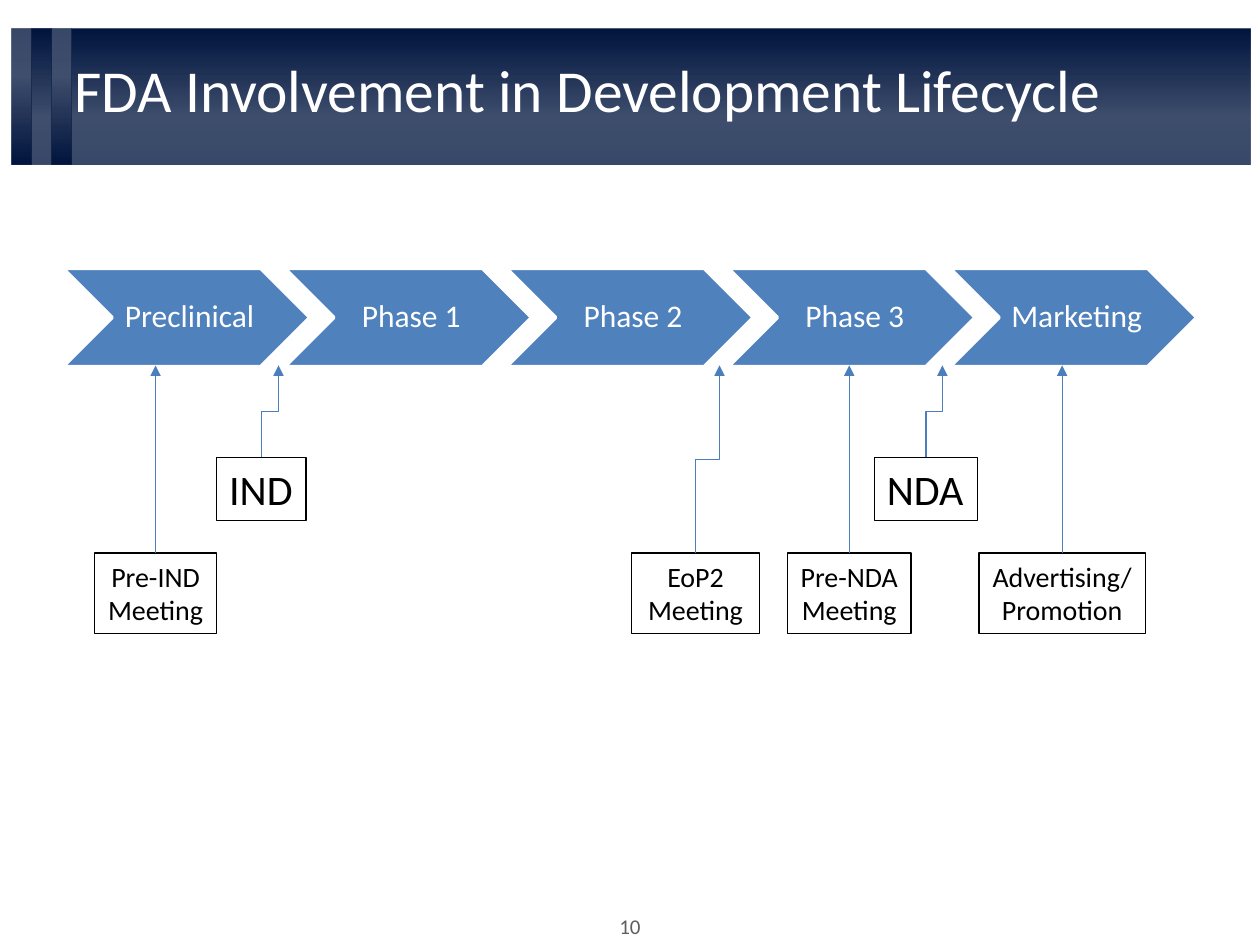
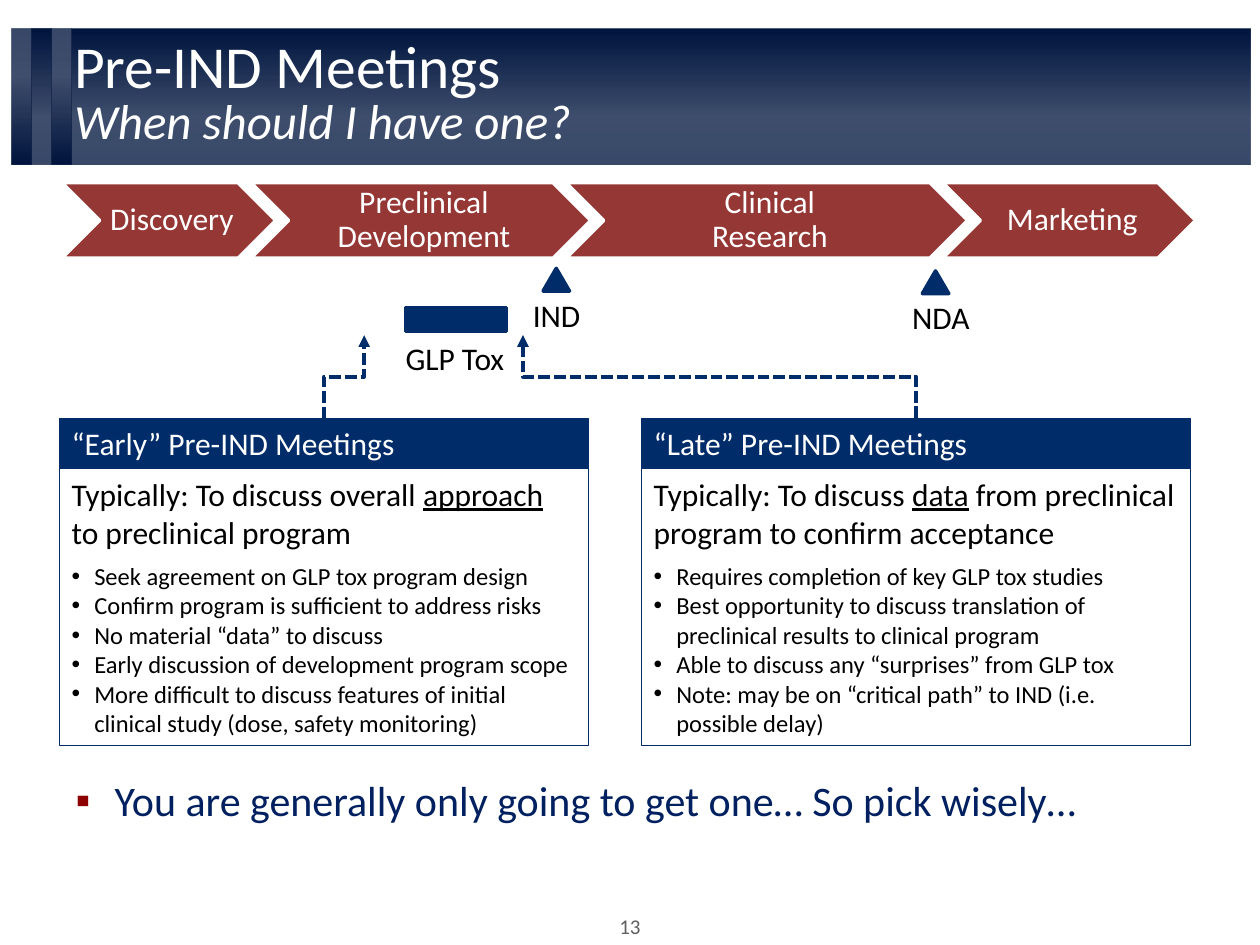
import lxml.etree
import pptx
import pptx.dml.color
import pptx.enum.dml
import pptx.enum.shapes
import pptx.enum.text
import pptx.oxml.ns
import pptx.util

Inches = pptx.util.Inches
Pt = pptx.util.Pt
RGB = pptx.dml.color.RGBColor
SHAPE = pptx.enum.shapes.MSO_SHAPE
CONNECTOR = pptx.enum.shapes.MSO_CONNECTOR
ANCHOR = pptx.enum.text.MSO_ANCHOR
ALIGN = pptx.enum.text.PP_ALIGN
qn = pptx.oxml.ns.qn

# Shared style
FONT = "Calibri"
WHITE = RGB(0xFF, 0xFF, 0xFF)
BLACK = RGB(0, 0, 0)
GREY = RGB(0x5F, 0x5F, 0x5F)
BAND = RGB(0x00, 0x15, 0x3E)
BLUE = RGB(0x4F, 0x81, 0xBD)
ARROW = RGB(0x4B, 0x7E, 0xBC)
RED = RGB(0x95, 0x37, 0x35)
NAVY = RGB(0x00, 0x2D, 0x6A)
BODY = RGB(0x00, 0x20, 0x60)
BULLET = RGB(0x8E, 0x00, 0x00)
BAND_STOPS = [(0, 100), (65, 75), (100, 78)]  # position %, opacity %


def xml(parent, tag, **attrs):
    return lxml.etree.SubElement(
        parent, qn(tag), {k: str(v) for k, v in attrs.items()})


def write(p, text, size=18, color=BLACK, italic=False, align=ALIGN.LEFT,
          spacing=None, before=0, bullet=None, bullet_color=None, indent=0):
    """Add text to a paragraph; _word_ is underlined, newline is a break."""
    p.alignment = align
    p.space_before = Pt(before)
    if spacing:
        p.line_spacing = spacing
    for i, line in enumerate(text.split("\n")):
        if i:
            p.add_line_break()
        for j, part in enumerate(line.split("_")):
            if not part:
                continue
            r = p.add_run()
            r.text = part
            r.font.name = FONT
            r.font.size = Pt(size)
            r.font.color.rgb = color
            if italic:
                r.font.italic = True
            if j % 2:
                r.font.underline = True
    if bullet:
        pPr = p._p.get_or_add_pPr()
        pPr.set("marL", str(Inches(indent)))
        pPr.set("indent", str(-Inches(indent)))
        if bullet_color:
            xml(xml(pPr, "a:buClr"), "a:srgbClr", val=bullet_color)
        xml(pPr, "a:buFont", typeface="Arial")
        xml(pPr, "a:buChar", char=bullet)


class Deck:
    def __init__(self):
        self.prs = pptx.Presentation()
        self.prs.slide_width = Inches(10)
        self.prs.slide_height = Inches(7.5)
        self.s = None

    def slide(self, layout, number, title, subtitle=None):
        self.s = self.prs.slides.add_slide(self.prs.slide_layouts[layout])
        for x, w, angle in [(0.25, 0.16, 270), (0.57, 9.35, 270),
                            (0.09, 0.16, 90), (0.41, 0.16, 90)]:
            self.band(x, w, angle)
        self.label(4.8, 7.2, 0.4, 0.3, str(number), size=12, color=GREY,
                   align=ALIGN.CENTER, anchor=ANCHOR.BOTTOM)
        # Title goes above the band
        sp = self.s.shapes.title
        self.s.shapes._spTree.append(sp._element)
        tf = self.place(sp, 0.49, 0.27, 9, 0.97)
        tf.vertical_anchor = ANCHOR.MIDDLE
        p = tf.paragraphs[0]
        write(p, title, size=34, color=WHITE, spacing=0.83)
        if subtitle:
            p.add_line_break()
            write(p, subtitle, size=28, color=WHITE, italic=True, spacing=0.83)

    def place(self, sp, x, y, w, h):
        sp.left, sp.top, sp.width, sp.height = map(Inches, (x, y, w, h))
        sp.text_frame.auto_size = pptx.enum.text.MSO_AUTO_SIZE.NONE
        return sp.text_frame

    def body(self, x, y, w, h, text, **fmt):
        tf = self.place(self.s.placeholders[1], x, y, w, h)
        write(tf.paragraphs[0], text, **fmt)

    def shape(self, kind, x, y, w, h, fill=None, line=None, width=0.75):
        sp = self.s.shapes.add_shape(kind, *map(Inches, (x, y, w, h)))
        sp.shadow.inherit = False
        if fill is not None:
            sp.fill.solid()
            sp.fill.fore_color.rgb = fill
        else:
            sp.fill.background()
        if line is not None:
            sp.line.color.rgb = line
            sp.line.width = Pt(width)
        else:
            sp.line.fill.background()
        return sp

    def band(self, x, w, angle):
        sp = self.shape(SHAPE.RECTANGLE, x, 0.23, w, 1.08)
        sp.fill.gradient()
        sp.fill.gradient_angle = angle
        stops = sp._element.spPr.find(qn("a:gradFill")).find(qn("a:gsLst"))
        for gs in list(stops):
            stops.remove(gs)
        for pos, opacity in BAND_STOPS:
            clr = xml(xml(stops, "a:gs", pos=pos * 1000), "a:srgbClr", val=BAND)
            xml(clr, "a:alpha", val=opacity * 1000)

    def label(self, x, y, w, h, text, anchor=ANCHOR.TOP, **fmt):
        tf = self.s.shapes.add_textbox(*map(Inches, (x, y, w, h))).text_frame
        tf.word_wrap = False
        tf.vertical_anchor = anchor
        write(tf.paragraphs[0], text, **fmt)

    def box(self, x, y, w, h, text, fill=None, line=BLACK, wrap=False, **fmt):
        sp = self.shape(SHAPE.RECTANGLE, x, y, w, h, fill, line)
        tf = sp.text_frame
        tf.word_wrap = wrap
        tf.vertical_anchor = ANCHOR.TOP
        write(tf.paragraphs[0], text, **fmt)
        return sp

    def chevrons(self, x, y, h, color, steps, overlap=0.2):
        for text, w in steps:
            sp = self.shape(SHAPE.CHEVRON, x, y, w, h, color, WHITE, 2)
            tf = sp.text_frame
            tf.word_wrap = True
            tf.vertical_anchor = ANCHOR.MIDDLE
            tf.margin_left = Inches(0.08)
            tf.margin_right = tf.margin_top = tf.margin_bottom = Inches(0.03)
            write(tf.paragraphs[0], text, color=WHITE, align=ALIGN.CENTER,
                  spacing=0.9)
            x += w - overlap

    def arrow(self, box, tip_y, tip_x=None, color=ARROW, width=0.75, dash=None):
        """Arrow from the top of a box: straight up, or bent towards tip_x."""
        x1, y1, y2 = box.left + box.width // 2, box.top, Inches(tip_y)
        if tip_x is None:
            c = self.s.shapes.add_connector(CONNECTOR.STRAIGHT, x1, y1, x1, y2)
            c.begin_connect(box, 0)
        else:
            # A quarter turn makes the elbow leave the box vertically
            x2 = Inches(tip_x)
            cx, cy = (x1 + x2) // 2, (y1 + y2) // 2
            dx, dy = (x2 - x1) // 2, (y1 - y2) // 2
            c = self.s.shapes.add_connector(
                CONNECTOR.ELBOW, cx - dy, cy - dx, cx + dy, cy + dx)
            c._element.spPr.find(qn("a:xfrm")).set("rot", str(270 * 60000))
        c.line.color.rgb = color
        c.line.width = Pt(width)
        if dash:
            c.line.dash_style = dash
        xml(c.line._get_or_add_ln(), "a:tailEnd", type="triangle")
        xml(c._element.spPr, "a:effectLst")

    def panel(self, x, w, heading, summary, points, tip_x):
        head = self.box(x, 3.32, w, 0.4, heading, NAVY, NAVY, True, color=WHITE)
        sp = self.box(x, 3.72, w, 2.2, summary, None, NAVY, True)
        for i, point in enumerate(points):
            write(sp.text_frame.add_paragraph(), point, size=14, bullet="•",
                  indent=0.18, before=0 if i else 6)
        self.arrow(head, 2.66, tip_x, NAVY, 2.25,
                   pptx.enum.dml.MSO_LINE.SQUARE_DOT)

    def milestone(self, x, y, text, w):
        self.shape(SHAPE.ISOSCELES_TRIANGLE, x, y, 0.21, 0.18, NAVY, NAVY, 2)
        self.label(x - 0.18, y + 0.17, w, 0.4, text)


def lifecycle(d):
    d.slide(5, 10, "FDA Involvement in Development Lifecycle")
    stages = ["Preclinical", "Phase 1", "Phase 2", "Phase 3", "Marketing"]
    d.chevrons(0.5, 2.13, 0.78, BLUE, [(stage, 1.96) for stage in stages])

    # Submissions
    for x, w, text, tip_x in [(1.72, 0.71, "IND", 2.21),
                              (6.94, 0.82, "NDA", 7.48)]:
        d.arrow(d.box(x, 3.63, w, 0.5, text, size=24), 2.9, tip_x)

    # Meetings and review
    for x, w, text, tip_x in [(0.75, 0.97, "Pre-IND\nMeeting", None),
                              (6.25, 0.98, "Pre-NDA\nMeeting", None),
                              (5.01, 1.02, "EoP2\nMeeting", 5.71),
                              (7.77, 1.32, "Advertising/\nPromotion", None)]:
        sp = d.box(x, 4.39, w, 0.64, text, size=16, align=ALIGN.CENTER)
        d.arrow(sp, 2.9, tip_x)


def pre_ind(d):
    d.slide(1, 13, "Pre-IND Meetings", "When should I have one?")
    d.chevrons(0.49, 1.45, 0.6, RED,
               [("Discovery", 1.7), ("Preclinical Development", 2.7),
                ("Clinical\nResearch", 3.19), ("Marketing", 2.01)])

    # Milestones and toxicology bar
    d.milestone(4.31, 2.13, "IND", 0.58)
    d.milestone(7.32, 2.15, "NDA", 0.66)
    d.shape(SHAPE.RECTANGLE, 3.22, 2.44, 0.8, 0.19, NAVY, NAVY, 2)
    d.label(3.12, 2.64, 0.99, 0.4, "GLP Tox")

    # Early and late meetings
    d.panel(5.09, 4.36, "“Late” Pre-IND Meetings",
            "Typically: To discuss _data_ from preclinical program "
            "to confirm acceptance",
            ["Requires completion of key GLP tox studies",
             "Best opportunity to discuss translation of preclinical "
             "results to clinical program",
             "Able to discuss any “surprises” from GLP tox",
             "Note: may be on “critical path” to IND (i.e. possible delay)"],
            4.15)
    d.panel(0.47, 4.2, "“Early” Pre-IND Meetings",
            "Typically: To discuss overall _approach_ to preclinical program",
            ["Seek agreement on GLP tox program design",
             "Confirm program is sufficient to address risks",
             "No material “data” to discuss",
             "Early discussion of development program scope",
             "More difficult to discuss features of initial clinical study "
             "(dose, safety monitoring)"],
            2.89)

    # Takeaway
    d.body(0.5, 6.14, 9, 0.47,
           "You are generally only going to get one… So pick wisely…",
           size=24, color=BODY, spacing=0.9, before=12, bullet="▪",
           bullet_color=BULLET, indent=0.31)


def main():
    d = Deck()
    lifecycle(d)
    pre_ind(d)
    d.prs.save("out.pptx")


if __name__ == "__main__":
    main()
